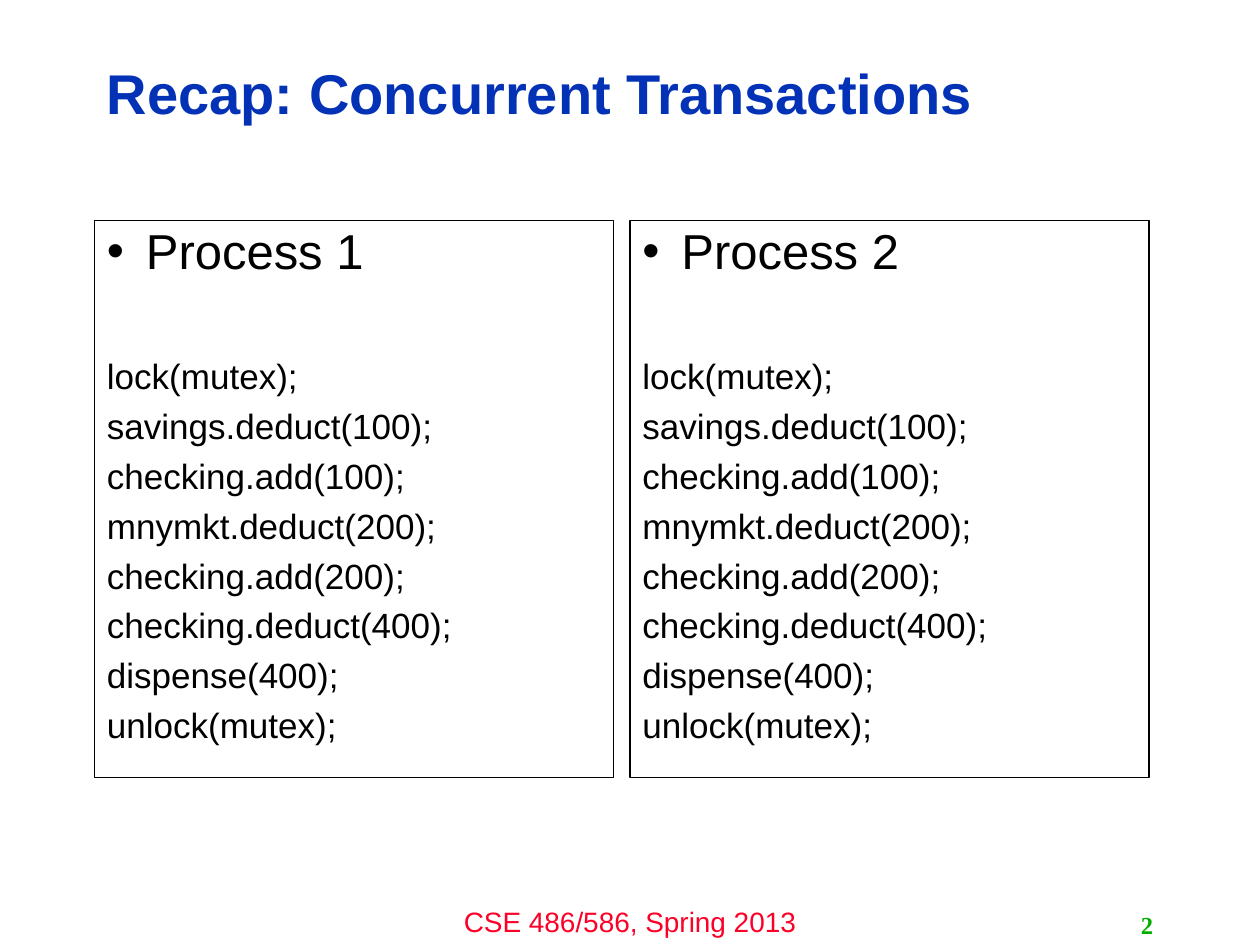
"""Build the slide that recaps two concurrent transactions side by side."""
from lxml.etree import SubElement
from pptx import Presentation
from pptx.dml.color import RGBColor
from pptx.enum.text import MSO_ANCHOR as ANCHOR, PP_ALIGN as ALIGN
from pptx.oxml.ns import qn
from pptx.util import Inches, Pt

TITLE = "Recap: Concurrent Transactions"
PROCESSES = ["Process 1", "Process 2"]
STEPS = [
    "lock(mutex);",
    "savings.deduct(100);",
    "checking.add(100);",
    "mnymkt.deduct(200);",
    "checking.add(200);",
    "checking.deduct(400);",
    "dispense(400);",
    "unlock(mutex);",
]
FOOTER = "CSE 486/586, Spring 2013"
PAGE = "2"

COLORS = {"title": "0332B7", "text": "000000", "footer": "FC0128", "page": "00AE00"}
WIDTH, HEIGHT = 10, 7.5
LEFT, TOP = 0.075 * WIDTH, 1.75
PANEL_W, PANEL_H, GAP = 4.12, 4.42, 0.13
INDENT = 0.31
STEP_GAP, HEADING_GAP = 6.9, 45.6


def add_box(s, x, y, w, h, anchor=ANCHOR.TOP):
    sp = s.shapes.add_textbox(Inches(x), Inches(y), Inches(w), Inches(h))
    sp.text_frame.word_wrap = True
    sp.text_frame.vertical_anchor = anchor
    return sp


def add_text(p, text, size, color="text", font="Arial", bold=False,
             align=ALIGN.LEFT, spacing=1.0, before=0, indent=0, bullet=None):
    p.alignment, p.line_spacing, p.space_before = align, spacing, Pt(before)
    if indent:
        pPr = p._p.get_or_add_pPr()
        pPr.set("marL", str(Inches(indent)))
        pPr.set("indent", str(-Inches(indent)))
        if bullet:
            SubElement(pPr, qn("a:buFont")).set("typeface", font)
            SubElement(pPr, qn("a:buChar")).set("char", bullet)
        else:
            SubElement(pPr, qn("a:buNone"))
    r = p.add_run()
    r.text = text
    r.font.name, r.font.size, r.font.bold = font, Pt(size), bold
    r.font.color.rgb = RGBColor.from_string(COLORS[color])


def add_process(s, column, heading):
    sp = add_box(s, LEFT + column * (PANEL_W + GAP), TOP, PANEL_W, PANEL_H)
    sp.line.color.rgb = RGBColor.from_string(COLORS["text"])
    sp.line.width = Pt(0.75)
    tf = sp.text_frame
    add_text(tf.paragraphs[0], heading, 28, spacing=0.9, indent=INDENT, bullet="•")
    for i, step in enumerate(STEPS):
        add_text(tf.add_paragraph(), step, 20, spacing=0.9, indent=INDENT,
                 before=STEP_GAP if i else HEADING_GAP)


def main():
    prs = Presentation()
    prs.slide_width, prs.slide_height = Inches(WIDTH), Inches(HEIGHT)
    s = prs.slides.add_slide(prs.slide_layouts[6])

    footer = add_box(s, WIDTH / 3, 7.13, WIDTH / 3, 0.37)
    add_text(footer.text_frame.paragraphs[0], FOOTER, 16, color="footer",
             align=ALIGN.CENTER)
    title = add_box(s, LEFT, 0.36, 7.98, 0.81, anchor=ANCHOR.MIDDLE)
    add_text(title.text_frame.paragraphs[0], TITLE, 32, color="title",
             bold=True, spacing=0.9)
    for column, heading in enumerate(PROCESSES):
        add_process(s, column, heading)
    page = add_box(s, 7.17, 7.18, 2.08, 0.32, anchor=ANCHOR.MIDDLE)
    add_text(page.text_frame.paragraphs[0], PAGE, 14, color="page",
             font="Times New Roman", bold=True, align=ALIGN.RIGHT)

    prs.save("out.pptx")


if __name__ == "__main__":
    main()
